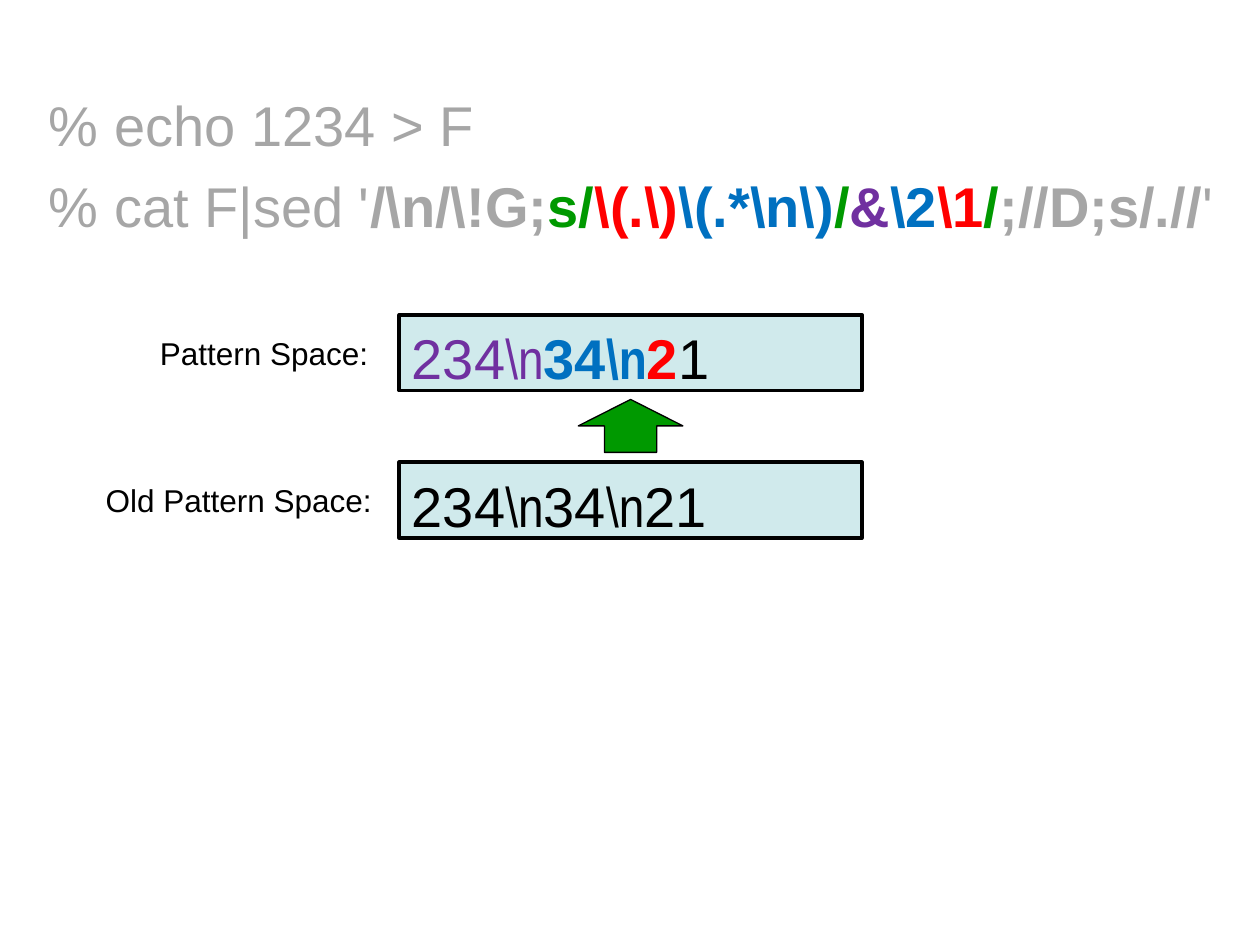
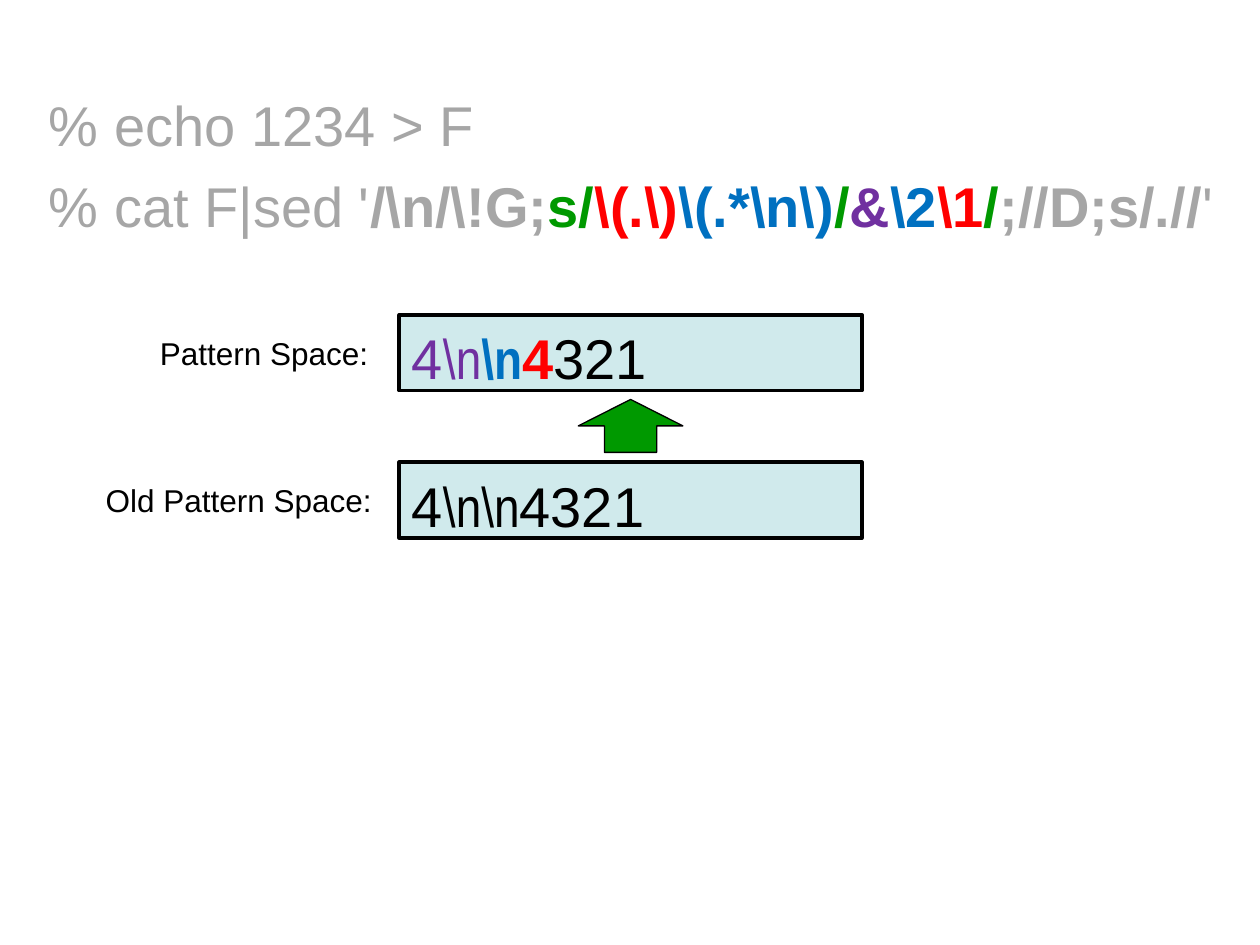
import pptx
import pptx.dml.color
import pptx.enum.shapes
import pptx.enum.text
import pptx.util
from typing import NamedTuple

Inches = pptx.util.Inches
Pt = pptx.util.Pt

COLORS = {
    "black": "000000", "gray": "A6A6A6", "green": "009900", "red": "FF0000",
    "blue": "0070C0", "purple": "7030A0", "box": "D0EAEC",
}


class Span(NamedTuple):
    text: str
    color: str = "black"
    bold: bool = False
    font: str = "Arial"


class Step(NamedTuple):
    new: list[Span]
    old: list[Span]


class Row(NamedTuple):
    label: str
    label_left: float
    top: float


NARROW = "Arial Narrow"
PATTERN = Row("Pattern Space:", 1.17, 2.5)
OLD_PATTERN = Row("Old Pattern Space:", 0.74, 3.67)
BOX_LEFT, BOX_WIDTH, BOX_HEIGHT = 3.17, 3.67, 0.6
ARROW_WIDTH, ARROW_HEIGHT = 0.83, 0.42

# The command, coloured by the part of the substitution each piece plays
COMMAND = [
    [Span("% echo 1234 > F", "gray")],
    [
        Span("% cat F|sed '", "gray"),
        Span(r"/\n/\!G;", "gray", True),
        Span("s/", "green", True),
        Span(r"\(.\)", "red", True),
        Span(r"\(.*\n\)", "blue", True),
        Span("/", "green", True),
        Span("&", "purple", True),
        Span(r"\2", "blue", True),
        Span(r"\1", "red", True),
        Span("/", "green", True),
        Span(";//D;s/.//", "gray", True),
        Span("'", "gray"),
    ],
]

STEPS = [
    Step(
        new=[Span("234", "purple"), Span(r"\n", "purple", font=NARROW),
             Span("34", "blue", True), Span(r"\n", "blue", True, NARROW),
             Span("2", "red", True), Span("1")],
        old=[Span("234"), Span(r"\n", font=NARROW), Span("34"),
             Span(r"\n", font=NARROW), Span("21")],
    ),
    Step(
        new=[Span("4", "purple"), Span(r"\n", "purple", font=NARROW),
             Span(r"\n", "blue", True, NARROW), Span("4", "red", True),
             Span("321")],
        old=[Span("4"), Span(r"\n\n", font=NARROW), Span("4321")],
    ),
]


def rgb(name: str) -> pptx.dml.color.RGBColor:
    return pptx.dml.color.RGBColor.from_string(COLORS[name])


def write(p, spans: list[Span], size: int) -> None:
    p.alignment = pptx.enum.text.PP_ALIGN.LEFT
    for span in spans:
        r = p.add_run()
        r.text = span.text
        r.font.name = span.font
        r.font.size = Pt(size)
        r.font.bold = span.bold
        r.font.color.rgb = rgb(span.color)


def add_shape(slide, kind, left: float, top: float, width: float,
              height: float, fill: str, line_width: float):
    sp = slide.shapes.add_shape(kind, Inches(left), Inches(top),
                                Inches(width), Inches(height))
    sp.shadow.inherit = False
    sp.fill.solid()
    sp.fill.fore_color.rgb = rgb(fill)
    sp.line.color.rgb = rgb("black")
    sp.line.width = Pt(line_width)
    return sp


def add_command(slide) -> None:
    tf = slide.shapes.add_textbox(Inches(0.29), Inches(0.67),
                                  Inches(9.71), Inches(1.3)).text_frame
    tf.word_wrap = True
    for i, spans in enumerate(COMMAND):
        p = tf.add_paragraph() if i else tf.paragraphs[0]
        if i:
            p.space_before = Pt(8)
        write(p, spans, 32)


def add_row(slide, row: Row, spans: list[Span]) -> None:
    # Label
    tf = slide.shapes.add_textbox(
        Inches(row.label_left), Inches(row.top + 0.09),
        Inches(BOX_LEFT + 0.17 - row.label_left), Inches(0.42)).text_frame
    tf.word_wrap = True
    tf.vertical_anchor = pptx.enum.text.MSO_ANCHOR.MIDDLE
    write(tf.paragraphs[0], [Span(row.label)], 18)

    # Contents
    sp = add_shape(slide, pptx.enum.shapes.MSO_SHAPE.RECTANGLE, BOX_LEFT,
                   row.top, BOX_WIDTH, BOX_HEIGHT, "box", 2.25)
    tf = sp.text_frame
    tf.vertical_anchor = pptx.enum.text.MSO_ANCHOR.TOP
    tf.margin_top, tf.margin_bottom = Inches(0.07), 0
    write(tf.paragraphs[0], spans, 32)


def add_step(prs, step: Step) -> None:
    slide = prs.slides.add_slide(prs.slide_layouts[6])
    add_command(slide)
    add_row(slide, PATTERN, step.new)
    add_row(slide, OLD_PATTERN, step.old)

    # Arrow from the old pattern space up to the new one
    add_shape(slide, pptx.enum.shapes.MSO_SHAPE.UP_ARROW,
              BOX_LEFT + (BOX_WIDTH - ARROW_WIDTH) / 2, 3.17,
              ARROW_WIDTH, ARROW_HEIGHT, "green", 0.75)


def main() -> None:
    prs = pptx.Presentation()
    prs.slide_width, prs.slide_height = Inches(10), Inches(7.5)
    for step in STEPS:
        add_step(prs, step)
    prs.save("out.pptx")


if __name__ == "__main__":
    main()
